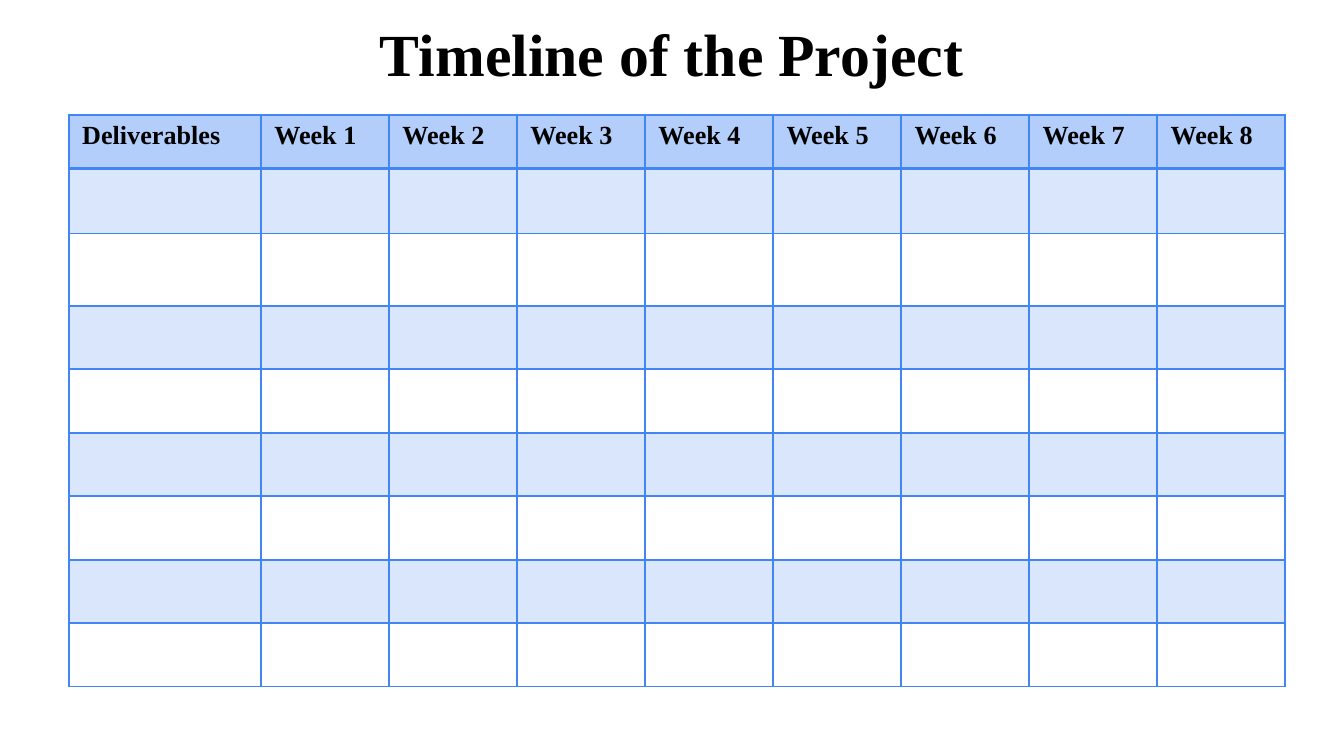
"""Build a project timeline slide with an empty eight-week deliverables grid."""
from dataclasses import dataclass

from lxml.etree import SubElement
from pptx import Presentation
from pptx.dml.color import RGBColor
from pptx.enum.text import MSO_ANCHOR, PP_ALIGN
from pptx.oxml.ns import qn
from pptx.slide import Slide
from pptx.table import _Cell
from pptx.text.text import TextFrame
from pptx.util import Cm, Pt

COLORS = {"text": "000000", "header": "B3CEFB", "accent": "4285F4"}
FONT = "Times New Roman"
HEADINGS = ["Deliverables"] + [f"Week {week}" for week in range(1, 9)]
COLUMN_WIDTHS = [3.63] + [2.42] * 8


@dataclass(frozen=True)
class TimelineRow:
    height: float
    fill: str | None = None
    opacity: int = 100
    top_line: float = 1
    bottom_line: float = 1


HEADER = TimelineRow(1.02, "header", bottom_line=2)
FIRST = TimelineRow(1.22, "accent", 20, top_line=2)
BANDED = TimelineRow(1.2, "accent", 20)
PLAIN = TimelineRow(1.2)
ROWS = [HEADER, FIRST, TimelineRow(1.37), BANDED, PLAIN, BANDED, PLAIN, BANDED, PLAIN]


def style_text(frame: TextFrame, size: float) -> None:
    """Make every run bold black serif at the given point size."""
    for paragraph in frame.paragraphs:
        for run in paragraph.runs:
            run.font.name = FONT
            run.font.size = Pt(size)
            run.font.bold = True
            run.font.color.rgb = RGBColor.from_string(COLORS["text"])


def style_cell(cell: _Cell, row: TimelineRow) -> None:
    """Draw the cell borders and fill that its row calls for."""
    properties = cell._tc.get_or_add_tcPr()
    borders = {"lnL": 1, "lnR": 1, "lnT": row.top_line, "lnB": row.bottom_line}
    for side, width in borders.items():
        line = SubElement(properties, qn(f"a:{side}"), w=str(Pt(width)))
        stroke = SubElement(line, qn("a:solidFill"))
        SubElement(stroke, qn("a:srgbClr"), val=COLORS["accent"])
    if row.fill is None:
        cell.fill.background()
        return
    cell.fill.solid()
    cell.fill.fore_color.rgb = RGBColor.from_string(COLORS[row.fill])
    if row.opacity < 100:
        tint = properties.find(qn("a:solidFill")).find(qn("a:srgbClr"))
        SubElement(tint, qn("a:alpha"), val=str(row.opacity * 1000))


def add_title(slide: Slide, text: str) -> None:
    """Place the slide title across the top."""
    title = slide.shapes.title
    title.left, title.top, title.width, title.height = Cm(0), Cm(-0.03), Cm(25.4), Cm(2.21)
    frame = title.text_frame
    frame.text = text
    frame.word_wrap = True
    frame.vertical_anchor = MSO_ANCHOR.MIDDLE
    frame.margin_left = frame.margin_right = frame.margin_top = frame.margin_bottom = Cm(0.25)
    frame.paragraphs[0].alignment = PP_ALIGN.CENTER
    frame.paragraphs[0].line_spacing = 0.9
    style_text(frame, 32)


def add_timeline(slide: Slide) -> None:
    """Add the timeline table with its headings and banded rows."""
    timeline = slide.shapes.add_table(
        len(ROWS), len(HEADINGS), Cm(1.3), Cm(2.17),
        Cm(sum(COLUMN_WIDTHS)), Cm(sum(row.height for row in ROWS)),
    ).table
    for column, width in zip(timeline.columns, COLUMN_WIDTHS):
        column.width = Cm(width)
    for table_row, row in zip(timeline.rows, ROWS):
        table_row.height = Cm(row.height)
        for cell in table_row.cells:
            style_cell(cell, row)
    for cell, heading in zip(timeline.rows[0].cells, HEADINGS):
        cell.text_frame.text = heading
        style_text(cell.text_frame, 14)


def main() -> None:
    """Create and save the presentation."""
    presentation = Presentation()
    presentation.slide_width, presentation.slide_height = Cm(25.4), Cm(14.29)
    slide = presentation.slides.add_slide(presentation.slide_layouts[5])
    add_title(slide, "Timeline of the Project")
    add_timeline(slide)
    presentation.save("out.pptx")


if __name__ == "__main__":
    main()
